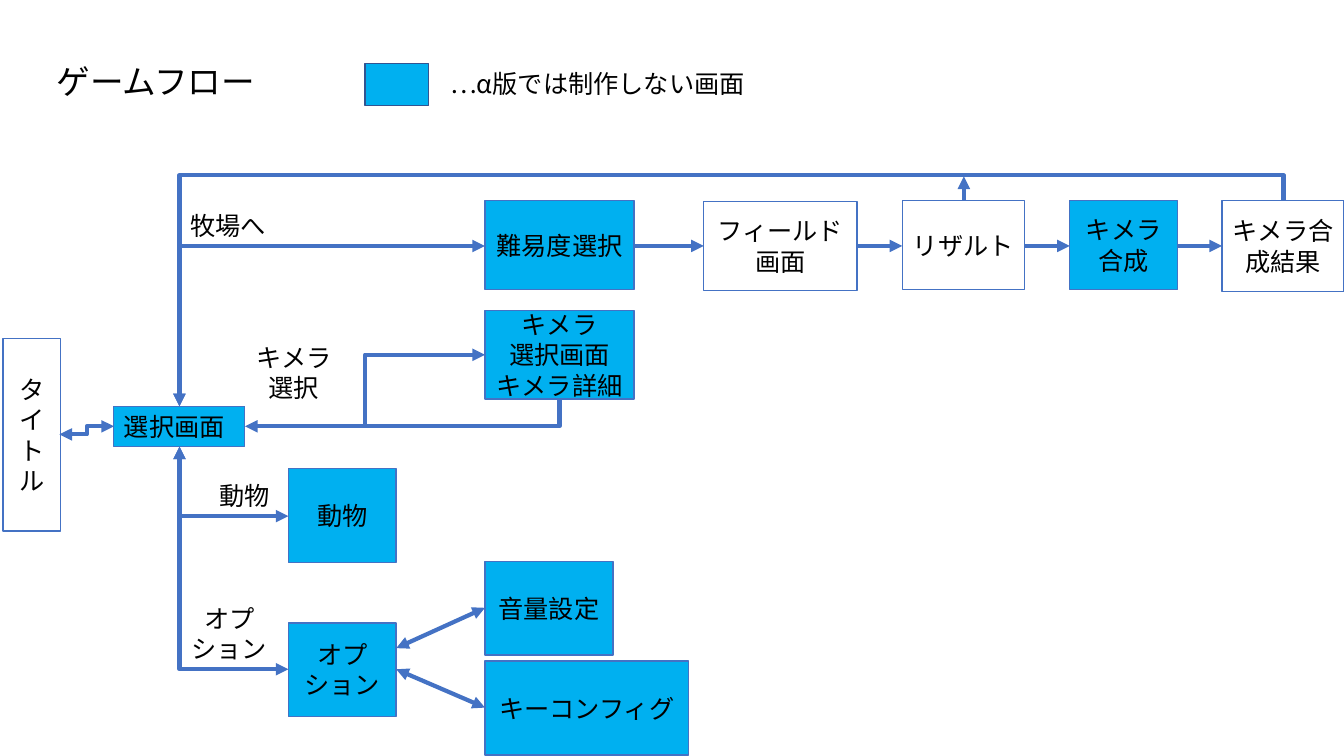
from dataclasses import dataclass

from lxml.etree import SubElement
from pptx import Presentation
from pptx.dml.color import RGBColor
from pptx.enum.shapes import MSO_CONNECTOR, MSO_SHAPE
from pptx.enum.text import MSO_ANCHOR, MSO_AUTO_SIZE, PP_ALIGN
from pptx.oxml.ns import qn
from pptx.util import Inches, Pt

FONT = "Noto Sans CJK JP"
BLACK = RGBColor(0x00, 0x00, 0x00)
WHITE = RGBColor(0xFF, 0xFF, 0xFF)
SKY = RGBColor(0x00, 0xB0, 0xF0)
BLUE = RGBColor(0x44, 0x72, 0xC4)
NAVY = RGBColor(0x32, 0x54, 0x91)


@dataclass
class Box:
    text: str
    left: float
    top: float
    width: float
    height: float
    fill: RGBColor = SKY
    line: RGBColor = BLUE
    weight: float = 1


@dataclass
class Label:
    text: str
    left: float
    top: float
    height: float


@dataclass
class Arrow:
    start: tuple[float, float]
    end: tuple[float, float]
    head: bool = False
    tail: bool = True


@dataclass
class Elbow(Arrow):
    preset: str = "bentConnector2"
    turn: int = 0
    flip: str = ""
    adjust: float | None = None


def write(tf, text: str, size: float = 18, align=PP_ALIGN.CENTER,
          anchor=MSO_ANCHOR.MIDDLE, spacing: float | None = None) -> None:
    tf.word_wrap = True
    tf.vertical_anchor = anchor
    for i, line in enumerate(text.split("\n")):
        p = tf.add_paragraph() if i else tf.paragraphs[0]
        p.alignment = align
        p.line_spacing = spacing
        r = p.add_run()
        r.text = line
        r.font.size = Pt(size)
        r.font.name = FONT
        r.font.color.rgb = BLACK
        SubElement(r.font._element, qn("a:ea"), typeface=FONT)


def add_box(s, box: Box, **fmt):
    sp = s.shapes.add_shape(MSO_SHAPE.RECTANGLE, Inches(box.left), Inches(box.top),
                            Inches(box.width), Inches(box.height))
    sp.shadow.inherit = False
    sp.fill.solid()
    sp.fill.fore_color.rgb = box.fill
    sp.line.color.rgb = box.line
    sp.line.width = Pt(box.weight)
    if box.text:
        write(sp.text_frame, box.text, **fmt)
    return sp


def add_label(s, label: Label, width: float = 1.07, **fmt):
    sp = s.shapes.add_textbox(Inches(label.left), Inches(label.top),
                              Inches(width), Inches(label.height))
    write(sp.text_frame, label.text, **fmt)
    return sp


def add_arrow(s, arrow: Arrow):
    (x1, y1), (x2, y2) = arrow.start, arrow.end
    kind = MSO_CONNECTOR.STRAIGHT
    if isinstance(arrow, Elbow):
        # Unrotated frame around the middle; quarter turns swap its sides
        kind = MSO_CONNECTOR.ELBOW
        cx, cy, w, h = (x1 + x2) / 2, (y1 + y2) / 2, abs(x2 - x1), abs(y2 - y1)
        if arrow.turn:
            w, h = h, w
        x1, y1, x2, y2 = cx - w / 2, cy - h / 2, cx + w / 2, cy + h / 2
    c = s.shapes.add_connector(kind, Inches(x1), Inches(y1), Inches(x2), Inches(y2))
    c.line.color.rgb = BLUE
    c.line.width = Pt(3)
    pr = c._element.spPr
    ln = pr.find(qn("a:ln"))
    for shown, tag in ((arrow.head, "a:headEnd"), (arrow.tail, "a:tailEnd")):
        if shown:
            SubElement(ln, qn(tag), type="triangle")
    SubElement(pr, qn("a:effectLst"))
    if isinstance(arrow, Elbow):
        xfrm, geom = pr.find(qn("a:xfrm")), pr.find(qn("a:prstGeom"))
        xfrm.set("rot", str(arrow.turn * 60000))
        for axis in arrow.flip:
            xfrm.set("flip" + axis.upper(), "1")
        geom.set("prst", arrow.preset)
        if arrow.adjust is not None:
            SubElement(geom.find(qn("a:avLst")), qn("a:gd"), name="adj1",
                       fmla=f"val {round(arrow.adjust * 100000)}")
    return c


prs = Presentation()
prs.slide_width, prs.slide_height = Inches(13.33), Inches(7.5)
s = prs.slides.add_slide(prs.slide_layouts[5])

# Title
title = s.shapes.title
title.left, title.top = Inches(0.46), Inches(0.36)
title.width, title.height = Inches(2.65), Inches(0.93)
write(title.text_frame, "ゲームフロー", size=24, align=PP_ALIGN.LEFT, spacing=0.9)

# Legend
add_box(s, Box("", 3.62, 0.63, 0.63, 0.42, line=NAVY))
legend = add_label(s, Label("…α版では制作しない画面", 4.37, 0.63, 0.4), width=3.4,
                   align=PP_ALIGN.LEFT, anchor=MSO_ANCHOR.TOP)
legend.text_frame.auto_size = MSO_AUTO_SIZE.SHAPE_TO_FIT_TEXT

# Screens
SCREENS = [
    Box("タイトル", 0.03, 3.36, 0.57, 1.91, WHITE),
    Box("難易度選択", 4.81, 1.99, 1.48, 0.88),
    Box("フィールド画面", 6.98, 2, 1.52, 0.88, WHITE),
    Box("リザルト", 8.95, 1.99, 1.21, 0.88, WHITE),
    Box("キメラ合成", 10.61, 1.99, 1.07, 0.88),
    Box("キメラ合成結果", 12.12, 1.99, 1.21, 0.9, WHITE),
    Box("キメラ\n選択画面\nキメラ詳細", 4.81, 3.08, 1.48, 0.88),
    Box("動物", 2.86, 4.65, 1.07, 0.93),
    Box("オプション", 2.86, 6.18, 1.07, 0.93),
    Box("音量設定", 4.81, 5.57, 1.27, 0.93),
    Box("キーコンフィグ", 4.81, 6.56, 2.02, 0.93),
]
for screen in SCREENS:
    add_box(s, screen)
hub = add_box(s, Box("選択画面", 1.13, 4.03, 1.3, 0.4, weight=0.75),
              align=PP_ALIGN.LEFT, anchor=MSO_ANCHOR.TOP)
hub.text_frame.auto_size = MSO_AUTO_SIZE.SHAPE_TO_FIT_TEXT

# Arrows between screens
HUB_TOP, HUB_BOTTOM, HUB_RIGHT = (1.78, 4.03), (1.78, 4.43), (2.43, 4.23)
ROW = 2.44
ARROWS = [Arrow((a, ROW), (b, ROW)) for a, b in
          ((6.29, 6.98), (8.5, 8.95), (10.16, 10.61), (11.67, 12.12))]
ARROWS += [
    Arrow((9.56, 1.99), (9.56, 1.75)),
    Arrow((3.93, 6.43), (4.81, 6.03), head=True),
    Arrow((3.93, 6.64), (4.81, 7.02), head=True),
    Elbow((12.73, 1.99), HUB_TOP, preset="bentConnector3", turn=270, flip="hv",
          adjust=-0.123),
    Elbow(HUB_TOP, (4.81, ROW), head=True, turn=90, flip="hv"),
    Elbow(HUB_BOTTOM, (2.86, 5.12), head=True, turn=270, flip="h"),
    Elbow(HUB_BOTTOM, (2.86, 6.64), head=True, turn=270, flip="h"),
    Elbow(HUB_RIGHT, (4.81, 3.52), head=True, preset="bentConnector3", flip="v",
          adjust=0.5),
    Elbow((0.59, 4.31), (1.13, 4.23), head=True, preset="bentConnector3", flip="v",
          adjust=0.5),
    Elbow((5.55, 3.97), (3.62, 4.23), tail=False, turn=90),
]
for arrow in ARROWS:
    add_arrow(s, arrow)

# Branch labels
for label in (Label("牧場へ", 1.73, 2.04, 0.4), Label("キメラ選択", 2.38, 3.31, 0.77),
              Label("動物", 1.89, 4.67, 0.48), Label("オプション", 1.74, 5.82, 0.93)):
    add_label(s, label)

prs.save("out.pptx")
